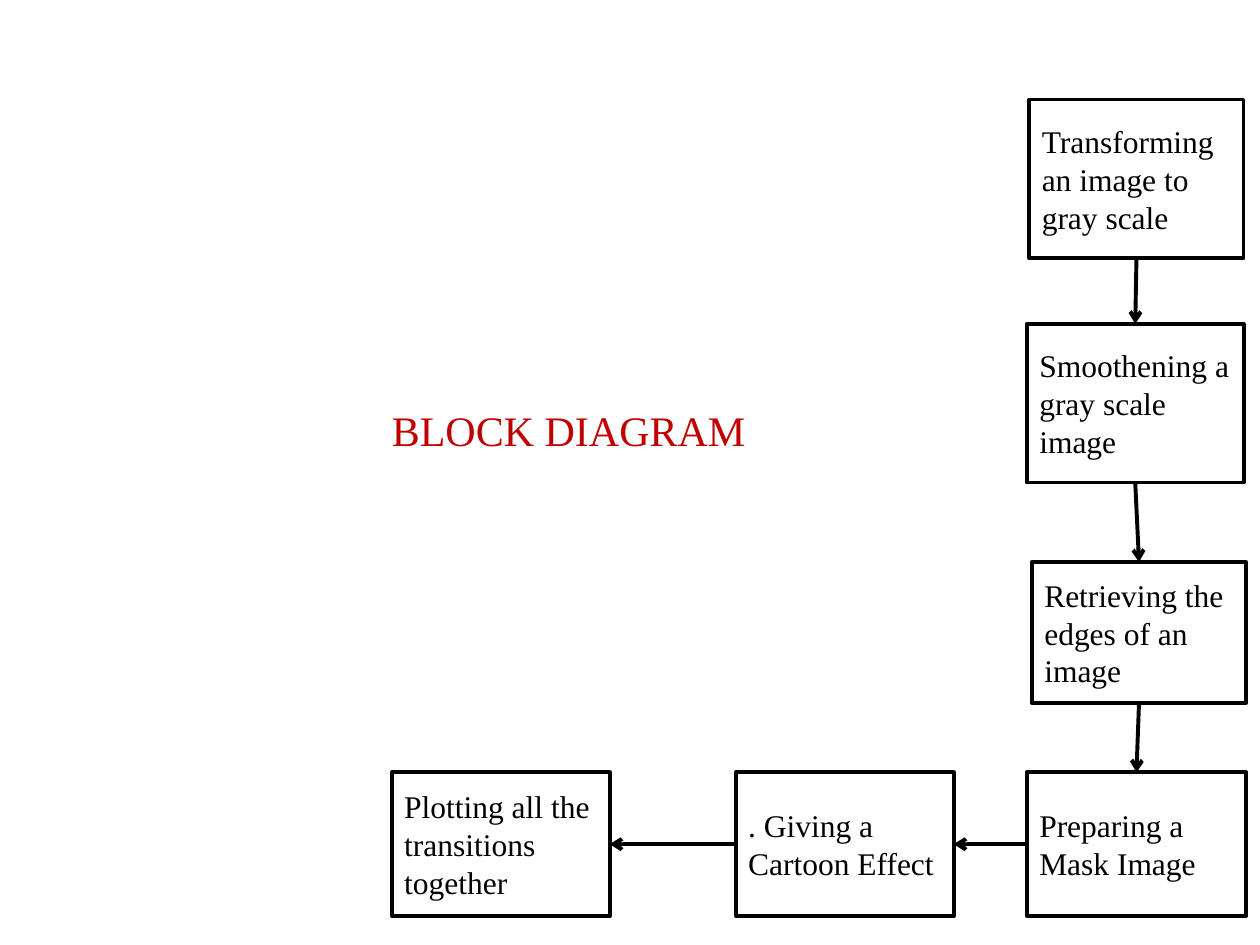
from dataclasses import dataclass
from itertools import pairwise

from lxml.etree import SubElement
from pptx import Presentation
from pptx.dml.color import RGBColor
from pptx.enum.shapes import MSO_CONNECTOR, MSO_SHAPE
from pptx.enum.text import MSO_ANCHOR, PP_ALIGN
from pptx.oxml.ns import qn
from pptx.util import Inches, Pt

TOP, LEFT, BOTTOM, RIGHT = range(4)  # connection sites of a rectangle


@dataclass(frozen=True)
class Theme:
    font: str = "Times New Roman"
    ink: RGBColor = RGBColor(0x00, 0x00, 0x00)
    paper: RGBColor = RGBColor(0xFF, 0xFF, 0xFF)
    accent: RGBColor = RGBColor(0xC0, 0x00, 0x00)
    title_size: Pt = Pt(24)
    body_size: Pt = Pt(18)
    line_width: Pt = Pt(2.25)


class Diagram:
    """Draws on one slide; lengths are cells of a 100 x 75 grid."""

    def __init__(self, prs, theme):
        self.theme = theme
        self.s = prs.slides.add_slide(prs.slide_layouts[5])
        self.col = prs.slide_width / 100
        self.row = prs.slide_height / 75

    def place(self, x, y, w, h):
        return (round(x * self.col), round(y * self.row),
                round(w * self.col), round(h * self.row))

    def add_text(self, tf, text, size, color):
        tf.word_wrap = True
        p = tf.paragraphs[0]
        p.alignment = PP_ALIGN.LEFT
        r = p.add_run()
        r.text = text
        r.font.name = self.theme.font
        r.font.size = size
        r.font.color.rgb = color

    def outline(self, line):
        line.color.rgb = self.theme.ink
        line.width = self.theme.line_width

    def title(self, text, *cells):
        sp = self.s.shapes.title
        sp.left, sp.top, sp.width, sp.height = self.place(*cells)
        tf = sp.text_frame
        tf.vertical_anchor = MSO_ANCHOR.BOTTOM
        self.add_text(tf, text, self.theme.title_size, self.theme.accent)

    def block(self, text, *cells):
        sp = self.s.shapes.add_shape(MSO_SHAPE.RECTANGLE, *self.place(*cells))
        sp.shadow.inherit = False
        sp.fill.solid()
        sp.fill.fore_color.rgb = self.theme.paper
        self.outline(sp.line)
        sp.text_frame.vertical_anchor = MSO_ANCHOR.MIDDLE
        self.add_text(sp.text_frame, text, self.theme.body_size, self.theme.ink)
        return sp

    def arrow(self, start, start_site, end, end_site):
        cx = self.s.shapes.add_connector(MSO_CONNECTOR.STRAIGHT, 0, 0, 0, 0)
        cx.begin_connect(start, start_site)
        cx.end_connect(end, end_site)
        self.outline(cx.line)
        props = cx.element.spPr
        SubElement(props.find(qn("a:ln")), qn("a:tailEnd"), type="arrow")
        SubElement(props, qn("a:effectLst"))


STEPS = [
    ("Transforming an image to gray scale", 81.7, 7.9, 17, 12.6),
    ("Smoothening a gray scale image", 81.5, 25.7, 17.2, 12.6),
    ("Retrieving the edges of an image", 81.9, 44.6, 17, 11.2),
    ("Preparing a Mask Image", 81.5, 61.3, 17.4, 11.4),
    (". Giving a Cartoon Effect", 58.4, 61.3, 17.3, 11.4),
    ("Plotting all the transitions together", 31.1, 61.3, 17.3, 11.4),
]


def main():
    prs = Presentation()
    prs.slide_width, prs.slide_height = Inches(10), Inches(7.5)
    diagram = Diagram(prs, Theme())
    diagram.title("BLOCK DIAGRAM", 30.1, 27.5, 38.4, 9.1)

    blocks = [diagram.block(*step) for step in STEPS]
    for start, end in pairwise(blocks):
        same_row = start.top == end.top
        sites = (LEFT, RIGHT) if same_row else (BOTTOM, TOP)
        diagram.arrow(start, sites[0], end, sites[1])

    prs.save("out.pptx")


if __name__ == "__main__":
    main()
